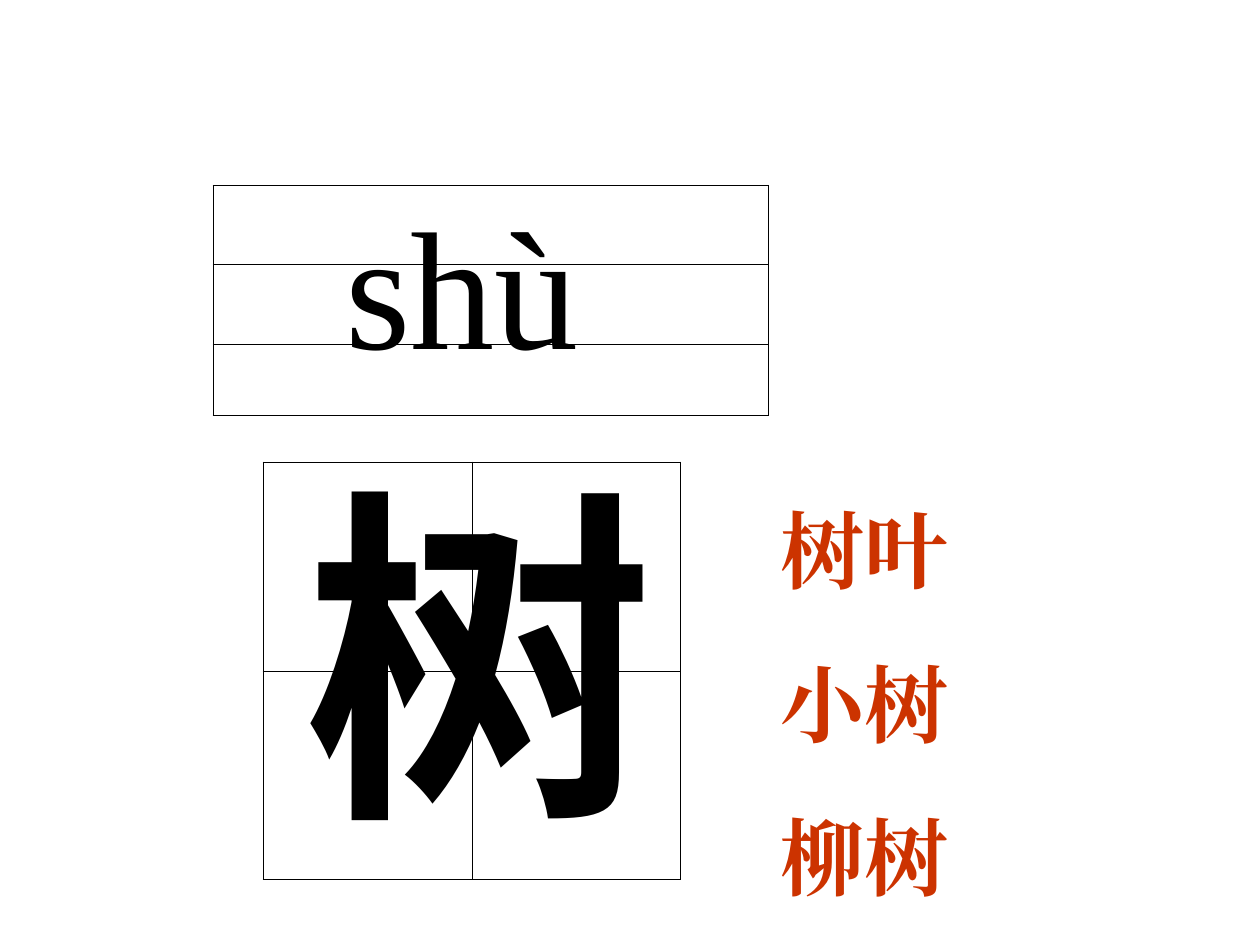
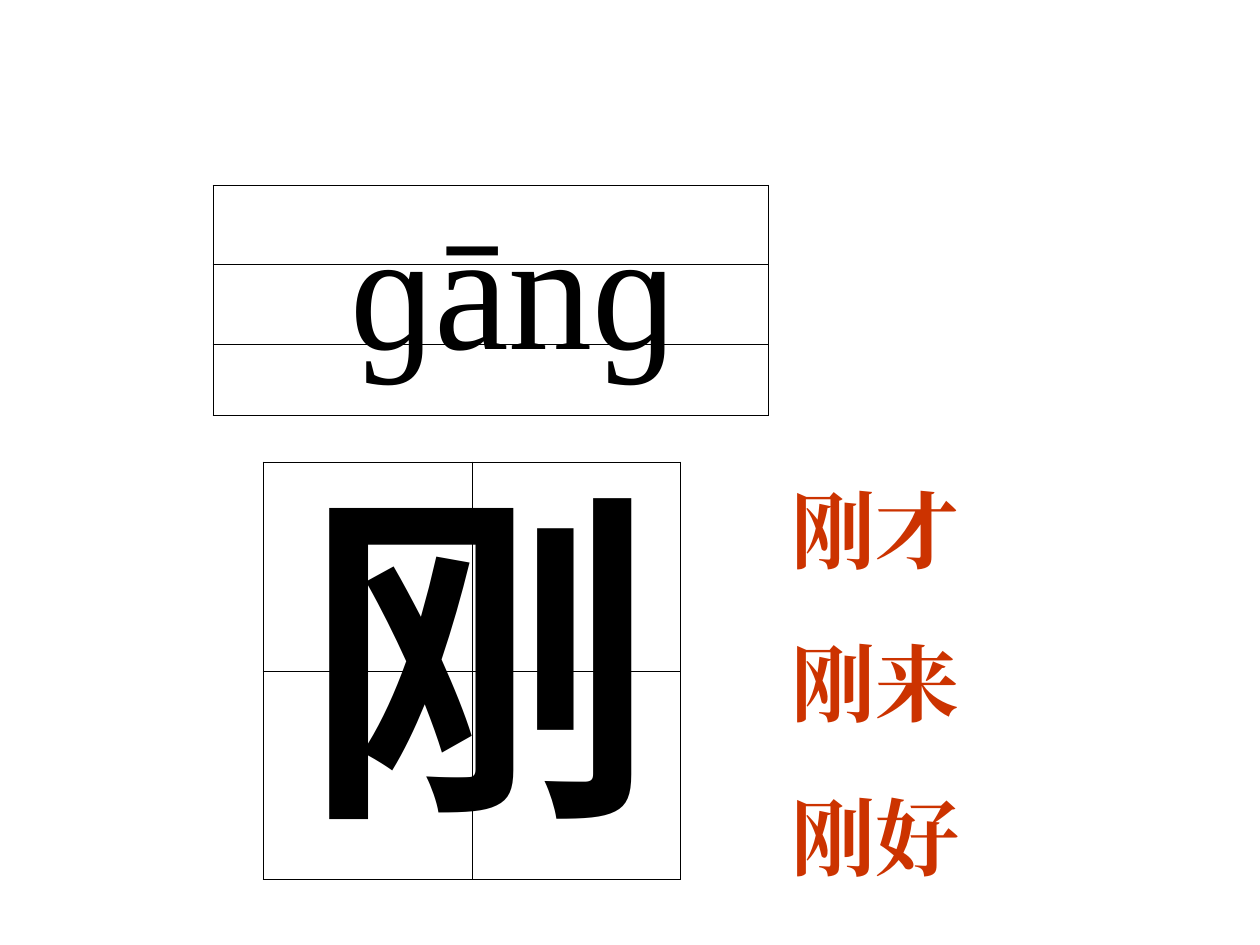
from lxml.etree import SubElement
from pptx import Presentation
from pptx.dml.color import RGBColor
from pptx.oxml import parse_xml
from pptx.oxml.ns import nsdecls, qn
from pptx.util import Inches, Pt

BLACK = RGBColor(0x00, 0x00, 0x00)
WORD_RED = RGBColor(0xCC, 0x33, 0x00)
SERIF, SANS = "Times New Roman", "Arial"
THIN, THICK = 0.45, 1.08
LINE_FACTOR = 1.2

LESSONS = [
    {
        "character": "树",
        "pinyin": "shù",
        "pinyin_box": (2.64, 1.39, 5, 1.7),
        "words": ["树叶", "小树", "柳树"],
        "words_box": (6.1, 3.91, 3.23, 3.34),
    },
    {
        "character": "刚",
        "pinyin": "ɡānɡ",
        "pinyin_box": (2.68, 1.39, 2.79, 1.7),
        "words": ["刚才", "刚来", "刚好"],
        "words_box": (6.18, 3.75, 3.23, 3.34),
    },
]

CHARACTER_BOX = (2.32, 3.44, 3.46, 3.44)
CHARACTER_GRID = {"at": (2.09, 3.67), "cols": [1.655] * 2, "rows": [1.655] * 2, "outer": THICK}
PINYIN_GRID = {"at": (1.69, 1.47), "cols": [4.41], "rows": [0.63, 0.63, 0.57], "outer": THIN}


def add_border(cell, position, side, points):
    border = parse_xml(
        f'<a:ln{side} {nsdecls("a")} w="{Pt(points)}"><a:solidFill>'
        f'<a:srgbClr val="{BLACK}"/></a:solidFill></a:ln{side}>'
    )
    cell._tc.get_or_add_tcPr().insert(position, border)


def add_writing_grid(slide, at, cols, rows, outer):
    left, top = at
    grid = slide.shapes.add_table(
        len(rows), len(cols), Inches(left), Inches(top), Inches(sum(cols)), Inches(sum(rows))
    ).table
    grid.first_row = grid.horz_banding = False
    for column, width in zip(grid.columns, cols):
        column.width = Inches(width)
    for r, height in enumerate(rows):
        grid.rows[r].height = Inches(height)
        for c in range(len(cols)):
            cell = grid.cell(r, c)
            cell.fill.background()
            on_edge = {"L": c == 0, "R": c == len(cols) - 1, "T": r == 0, "B": r == len(rows) - 1}
            for position, (side, edge) in enumerate(on_edge.items()):
                add_border(cell, position, side, outer if edge else THIN)


def add_lines(slide, box, lines, size, font, color, bold=False, gap=0, wrap=True):
    frame = slide.shapes.add_textbox(*map(Inches, box)).text_frame
    frame.word_wrap = wrap
    frame.text = "\n".join(lines)
    for index, paragraph in enumerate(frame.paragraphs):
        paragraph.line_spacing = Pt(size * LINE_FACTOR)
        paragraph.space_before = Pt(gap if index else 0)
        for run in paragraph.runs:
            run.font.size = Pt(size)
            run.font.bold = bold
            run.font.color.rgb = color
            run.font.name = font
            SubElement(run.font._element, qn("a:ea")).set("typeface", font)


def add_lesson(deck, lesson):
    slide = deck.slides.add_slide(deck.slide_layouts[6])
    add_writing_grid(slide, **CHARACTER_GRID)
    add_lines(slide, CHARACTER_BOX, [lesson["character"]], 200, SANS, BLACK, bold=True)
    add_writing_grid(slide, **PINYIN_GRID)
    add_lines(slide, lesson["words_box"], lesson["words"], 48, SERIF, WORD_RED, bold=True, gap=30)
    add_lines(slide, lesson["pinyin_box"], [lesson["pinyin"]], 96, SERIF, BLACK, wrap=False)


def main():
    deck = Presentation()
    deck.slide_width, deck.slide_height = Inches(10), Inches(7.5)
    for lesson in LESSONS:
        add_lesson(deck, lesson)
    deck.save("out.pptx")


if __name__ == "__main__":
    main()
